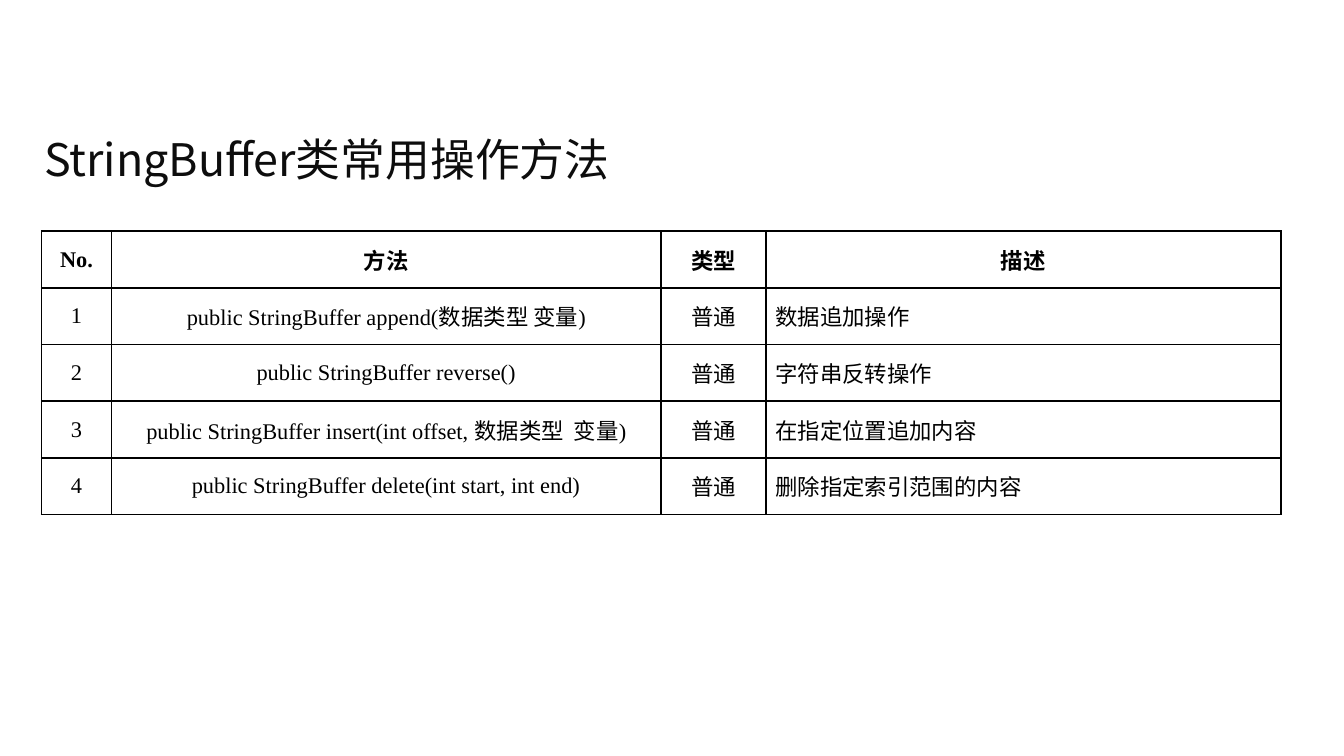
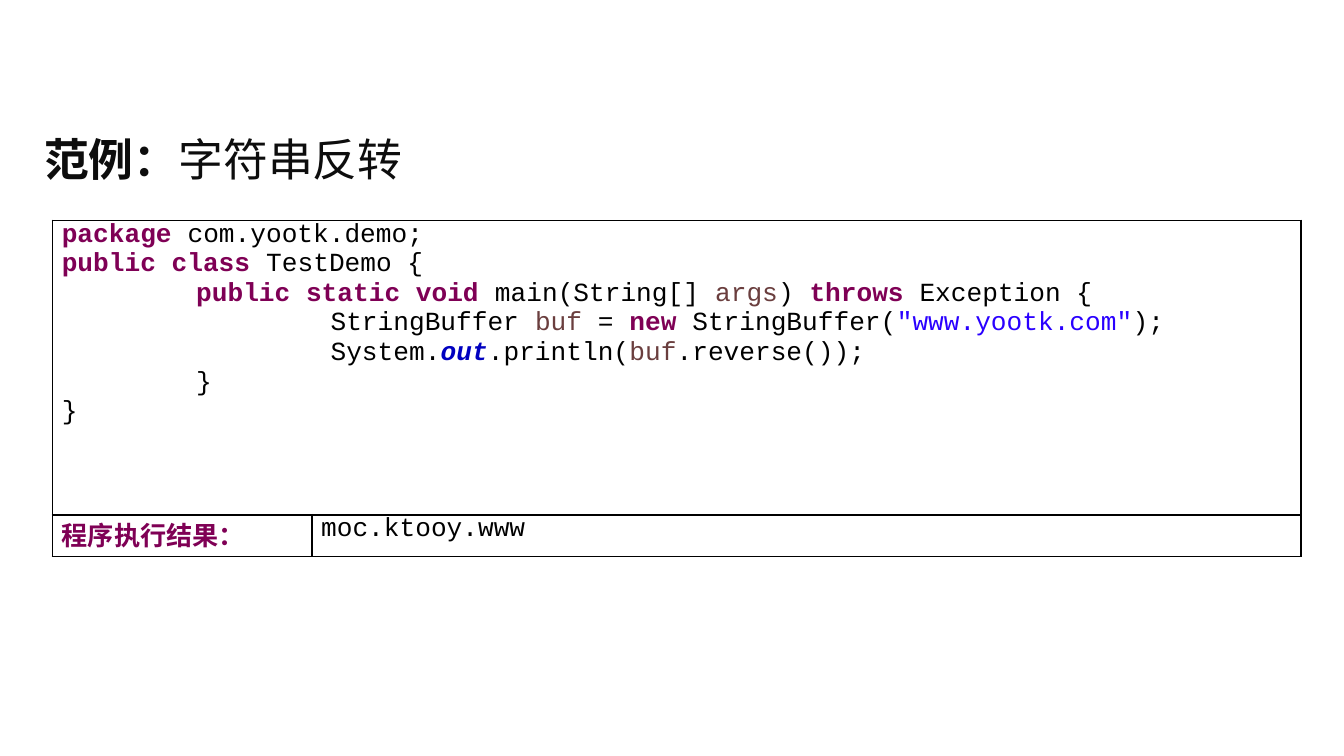
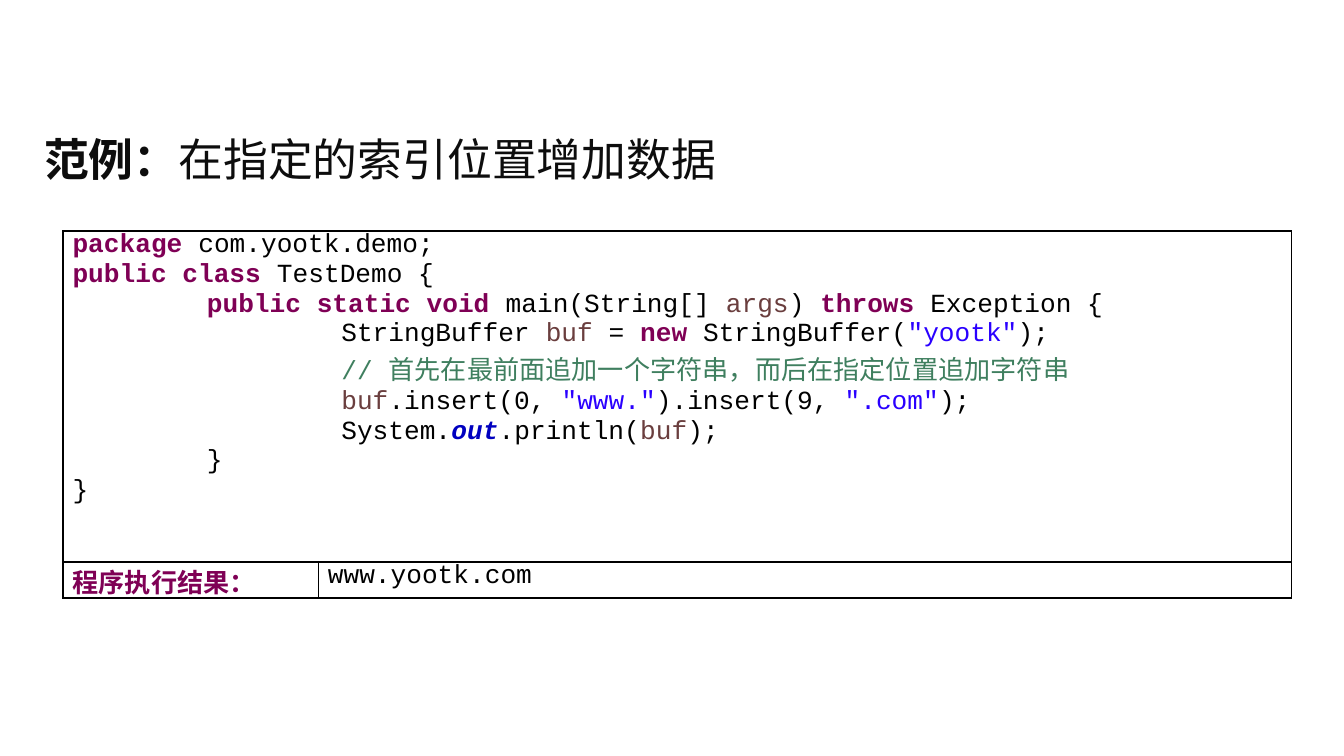
from lxml.etree import SubElement
from pptx import Presentation
from pptx.dml.color import RGBColor
from pptx.enum.text import MSO_ANCHOR as Anchor, PP_ALIGN as Align
from pptx.oxml.ns import qn
from pptx.util import Inches, Pt

INK = RGBColor(0x0D, 0x0D, 0x0D)
BLACK = RGBColor(0x00, 0x00, 0x00)
KEYWORD = RGBColor(0x7F, 0x00, 0x55)
VARIABLE = RGBColor(0x6A, 0x3E, 0x3E)
STRING = RGBColor(0x2A, 0x00, 0xFF)
FIELD = RGBColor(0x00, 0x00, 0xC0)
COMMENT = RGBColor(0x3F, 0x7F, 0x5F)

SANS = "Noto Sans CJK SC"
SERIF = "Times New Roman"
MONO = "Courier New"

KEYWORDS = ("package", "public class", "public static void", "throws", "new")
VARIABLES = ("args", "buf")

METHODS = [
    ("No.", "方法", "类型", "描述"),
    ("1", "public StringBuffer append(数据类型 变量)", "普通", "数据追加操作"),
    ("2", "public StringBuffer reverse()", "普通", "字符串反转操作"),
    ("3", "public StringBuffer insert(int offset, 数据类型  变量)", "普通", "在指定位置追加内容"),
    ("4", "public StringBuffer delete(int start, int end)", "普通", "删除指定索引范围的内容"),
]

CLASS_HEAD = [
    "package| com.yootk.demo;",
    "public class| TestDemo {",
    "\t|public static void| main(String[] |args|) |throws| Exception {",
]
CLASS_END = ["\t}", "}"]
REVERSE_BODY = [
    '\t\tStringBuffer |buf| = |new| StringBuffer(|"www.yootk.com"|);',
    "\t\tSystem.|out|.println(|buf|.reverse());",
]
INSERT_BODY = [
    '\t\tStringBuffer |buf| = |new| StringBuffer(|"yootk"|);',
    "\t\t|// 首先在最前面追加一个字符串，而后在指定位置追加字符串",
    '\t\t|buf|.insert(0, |"www."|).insert(9, |".com"|);',
    "\t\tSystem.|out|.println(|buf|);",
]


def write(para, text, font=SANS, size=14, color=BLACK, bold=False, italic=False):
    span = para.add_run()
    span.text = text
    span.font.name = font
    span.font.size = Pt(size)
    span.font.color.rgb = color
    span.font.bold = bold
    span.font.italic = italic
    SubElement(span.font._element, qn("a:ea"), typeface=SANS)


def code_style(token):
    if token in KEYWORDS:
        return {"color": KEYWORD, "bold": True}
    if token in VARIABLES:
        return {"color": VARIABLE}
    if token == "out":
        return {"color": FIELD, "bold": True, "italic": True}
    if token.startswith('"'):
        return {"color": STRING}
    if token.startswith("//"):
        return {"color": COMMENT}
    return {}


def set_tabs(para):
    stops = SubElement(para._p.get_or_add_pPr(), qn("a:tabLst"))
    for inch in (1, 2):
        SubElement(stops, qn("a:tab"), pos=str(Inches(inch)), algn="l")


def outline(cell):
    properties = cell._tc.get_or_add_tcPr()
    for side in ("lnL", "lnR", "lnT", "lnB"):
        line = SubElement(properties, qn(f"a:{side}"), w=str(Pt(1)))
        fill = SubElement(line, qn("a:solidFill"))
        SubElement(fill, qn("a:srgbClr"), val=str(BLACK))
    cell.fill.background()


class Lesson:
    def __init__(self):
        self.deck = Presentation()
        self.deck.slide_width = Inches(10)
        self.deck.slide_height = Inches(10 * 9 / 16)
        self.page = None

    def add_page(self, title, label=""):
        self.page = self.deck.slides.add_slide(self.deck.slide_layouts[6])
        box = self.page.shapes.add_textbox(Inches(0.23), Inches(0.86), Inches(9.53), Inches(0.64))
        frame = box.text_frame
        frame.word_wrap = True
        frame.vertical_anchor = Anchor.MIDDLE
        para = frame.paragraphs[0]
        if label:
            write(para, label, size=24, color=INK, bold=True)
        write(para, title, size=24, color=INK)

    def add_grid(self, left, top, widths, heights):
        grid = self.page.shapes.add_table(
            len(heights), len(widths), Inches(left), Inches(top),
            Inches(sum(widths)), Inches(sum(heights))).table
        grid.first_row = grid.horz_banding = False
        for column, width in zip(grid.columns, widths):
            column.width = Inches(width)
        for row, height in zip(grid.rows, heights):
            row.height = Inches(height)
        for cell in grid.iter_cells():
            cell.margin_left = cell.margin_right = Inches(0.07)
            cell.margin_top = cell.margin_bottom = 0
            outline(cell)
        return grid

    def add_methods(self, rows):
        heights = [2.11 / len(rows)] * len(rows)
        grid = self.add_grid(0.31, 1.72, [0.52, 4.09, 0.78, 3.83], heights)
        for r, row in enumerate(rows):
            for c, text in enumerate(row):
                cell = grid.cell(r, c)
                cell.vertical_anchor = Anchor.MIDDLE
                para = cell.text_frame.paragraphs[0]
                para.alignment = Align.JUSTIFY if r and c == 3 else Align.CENTER
                write(para, text, font=SERIF, size=12, bold=r == 0)

    def add_listing(self, left, top, widths, heights, body, result):
        grid = self.add_grid(left, top, widths, heights)
        grid.cell(0, 0).merge(grid.cell(0, 1))
        frame = grid.cell(0, 0).text_frame
        for number, line in enumerate(CLASS_HEAD + body + CLASS_END):
            para = frame.add_paragraph() if number else frame.paragraphs[0]
            set_tabs(para)
            for token in line.split("|"):
                write(para, token, font=MONO, **code_style(token))
        write(grid.cell(1, 0).text_frame.paragraphs[0], "程序执行结果：",
              font=MONO, color=KEYWORD, bold=True)
        write(grid.cell(1, 1).text_frame.paragraphs[0], result, font=MONO)


def main():
    lesson = Lesson()
    lesson.add_page("StringBuffer类常用操作方法")
    lesson.add_methods(METHODS)
    lesson.add_page("字符串反转", label="范例：")
    lesson.add_listing(0.39, 1.64, [1.93, 7.36], [2.19, 0.31], REVERSE_BODY, "moc.ktooy.www")
    lesson.add_page("在指定的索引位置增加数据", label="范例：")
    lesson.add_listing(0.47, 1.72, [1.9, 7.24], [2.46, 0.27], INSERT_BODY, "www.yootk.com")
    lesson.deck.save("out.pptx")


if __name__ == "__main__":
    main()
